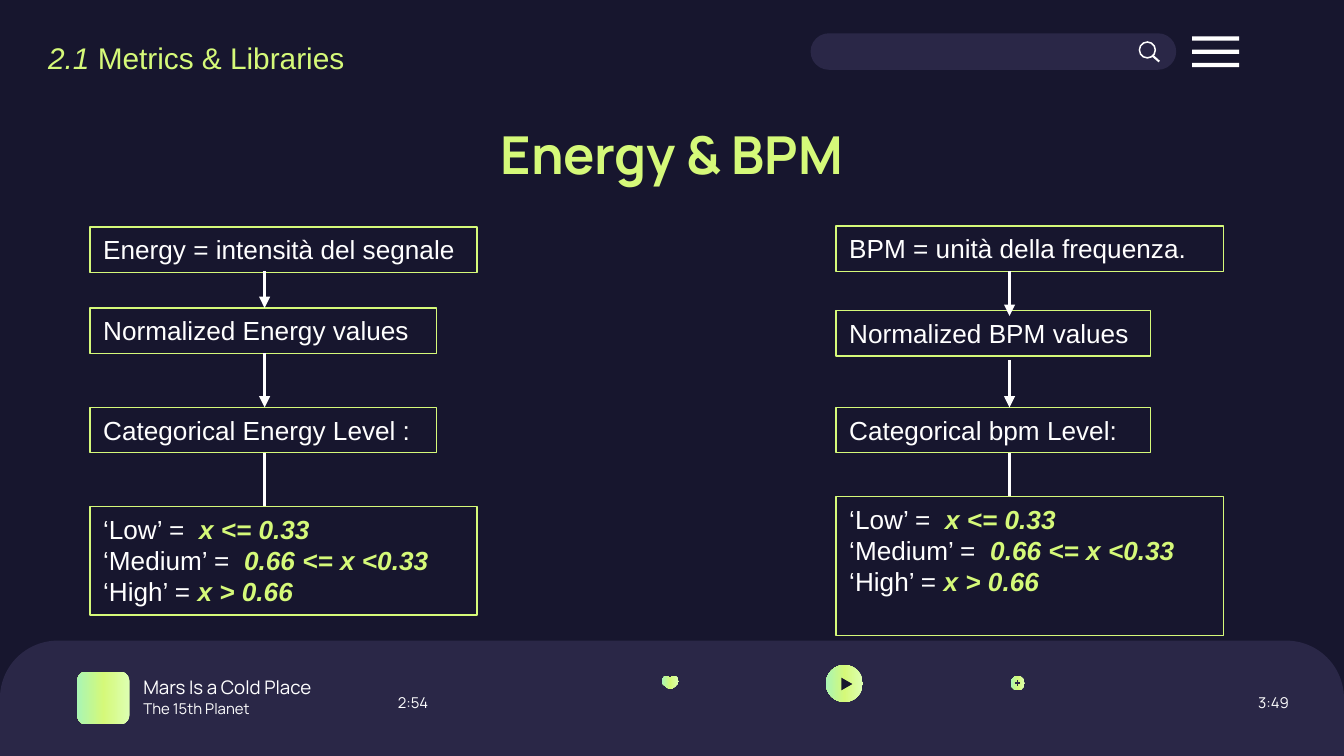
from copy import deepcopy
from dataclasses import dataclass

from lxml import etree
from pptx import Presentation
from pptx.dml.color import RGBColor
from pptx.enum import shapes, text
from pptx.oxml import ns
from pptx.util import Cm, Pt

NIGHT = RGBColor(0x17, 0x16, 0x2E)
PANEL = RGBColor(0x2A, 0x27, 0x47)
LIME = RGBColor(0xD5, 0xF9, 0x79)
PALE_LIME = RGBColor(0xDD, 0xFF, 0xB2)
MINT = RGBColor(0xA9, 0xF5, 0xB4)
WHITE = RGBColor(0xFF, 0xFF, 0xFF)
KIND = shapes.MSO_SHAPE
LEFT, CENTER, RIGHT = text.PP_ALIGN.LEFT, text.PP_ALIGN.CENTER, text.PP_ALIGN.RIGHT


@dataclass(frozen=True)
class Span:
    words: str
    color: RGBColor = WHITE
    bold: bool = False
    italic: bool = False


@dataclass(frozen=True)
class Label:
    """A text box; lengths in cm, size in points."""
    frame: tuple[float, float, float, float]
    spans: list[Span]
    size: float
    font: str = "Manrope"
    inset: float = 0.25
    align: text.PP_ALIGN = LEFT


@dataclass(frozen=True)
class Step:
    top: float
    width: float
    height: float
    lines: list[list[Span]]


@dataclass(frozen=True)
class Flow:
    left: float
    axis: float
    steps: list[Step]
    links: list[tuple[float, float]]


def levels() -> list[list[Span]]:
    rules = [("‘Low’ =  ", "x <= 0.33"), ("‘Medium’ =  ", "0.66 <= x <0.33"), ("‘High’ = ", "x > 0.66")]
    return [[Span(name), Span(rule, LIME, True, True)] for name, rule in rules]


FLOWS = [
    Flow(1.7, 5.0, [
        Step(4.29, 7.32, 0.86, [[Span("Energy = intensità del segnale")]]),
        Step(5.82, 6.55, 0.86, [[Span("Normalized Energy values")]]),
        Step(7.7, 6.55, 0.86, [[Span("Categorical Energy Level :")]]),
        Step(9.57, 7.32, 2.06, levels()),
    ], [(5.13, 5.82), (6.68, 7.7), (8.56, 9.57)]),
    Flow(15.8, 19.08, [
        Step(4.27, 7.32, 0.86, [[Span("BPM = unità della frequenza.")]]),
        Step(5.87, 5.94, 0.86, [[Span("Normalized BPM values")]]),
        Step(7.7, 5.94, 0.86, [[Span("Categorical bpm Level:")]]),
        Step(9.38, 7.32, 2.64, levels()),
    ], [(5.13, 5.97), (6.81, 7.7), (8.56, 9.38)]),
]

LABELS = [
    Label((4.62, 2.11, 16.15, 1.6), [Span("Energy & BPM", LIME, bold=True)], 28, align=CENTER),
    Label((0.66, 0.61, 6.22, 0.94), [Span("2.1 ", LIME, italic=True), Span("Metrics & Libraries", LIME)],
          16, "Arial"),
    Label((2.46, 12.78, 4.85, 0.43), [Span("Mars Is a Cold Place")], 10),
    Label((2.46, 13.18, 2.92, 0.43), [Span("The 15th Planet")], 8),
    Label((7.52, 13.06, 0.69, 0.43), [Span("2:54")], 8, inset=0),
    Label((23.67, 13.06, 0.69, 0.43), [Span("3:49")], 8, inset=0, align=RIGHT),
]

# Heart outline: a start point, then cubic curves (two controls and an end each).
HEART_START = (12.75, 12.78)
HEART_CURVES = [
    ((12.7, 12.78), (12.67, 12.8), (12.67, 12.83)),
    ((12.66, 12.8), (12.62, 12.78), (12.6, 12.78)),
    ((12.55, 12.78), (12.51, 12.83), (12.51, 12.88)),
    ((12.51, 12.9), (12.52, 12.92), (12.54, 12.94)),
    ((12.56, 12.96), (12.61, 13.01), (12.67, 13.03)),
    ((12.73, 13.01), (12.78, 12.96), (12.8, 12.94)),
    ((12.82, 12.92), (12.83, 12.9), (12.83, 12.88)),
    ((12.83, 12.83), (12.79, 12.78), (12.75, 12.78)),
]


def curve_points(start, curves, parts: int = 5) -> list[tuple[float, float]]:
    """Sample a chain of cubic curves into a polygon."""
    points = [start]
    for first, second, end in curves:
        begin = points[-1]
        for step in range(1, parts + 1):
            t = step / parts
            weights = ((1 - t) ** 3, 3 * t * (1 - t) ** 2, 3 * t ** 2 * (1 - t), t ** 3)
            corners = (begin, first, second, end)
            points.append(tuple(sum(w * c[axis] for w, c in zip(weights, corners)) for axis in (0, 1)))
    return points


def paint(shape, fill: RGBColor | None) -> None:
    shape.shadow.inherit = False
    shape.line.fill.background()
    if fill is None:
        shape.fill.background()
    else:
        shape.fill.solid()
        shape.fill.fore_color.rgb = fill


def paint_gradient(shape) -> None:
    paint(shape, None)
    shape.fill.gradient()
    shape.fill.gradient_angle = 180
    stops = shape._element.spPr.find(".//" + ns.qn("a:gsLst"))
    middle = deepcopy(stops[0])
    middle.set("pos", "50000")
    stops.insert(1, middle)
    for stop, color in zip(shape.fill.gradient_stops, (PALE_LIME, LIME, MINT)):
        stop.color.rgb = color


def add_block(page, kind, frame, fill: RGBColor | None = None):
    block = page.shapes.add_shape(kind, *map(Cm, frame))
    paint(block, fill)
    return block


def add_polygon(page, points):
    (x, y), *rest = [(Cm(a), Cm(b)) for a, b in points]
    builder = page.shapes.build_freeform(x, y, 1.0)
    builder.add_line_segments(rest, close=True)
    return builder.convert_to_shape()


def add_line(page, start, end, color: RGBColor, weight: float, arrow: bool = False) -> None:
    line = page.shapes.add_connector(shapes.MSO_CONNECTOR.STRAIGHT, *map(Cm, (*start, *end)))
    line.line.color.rgb = color
    line.line.width = Pt(weight)
    if arrow:
        etree.SubElement(line.line._get_or_add_ln(), ns.qn("a:tailEnd"), type="triangle")
    etree.SubElement(line._element.spPr, ns.qn("a:effectLst"))


def write(frame, lines: list[list[Span]], size: float, font: str,
          inset: float = 0.25, align=LEFT, anchor=text.MSO_ANCHOR.TOP) -> None:
    frame.word_wrap = True
    frame.vertical_anchor = anchor
    frame.margin_left = frame.margin_right = Cm(inset)
    frame.margin_top = frame.margin_bottom = Cm(0.13)
    for index, spans in enumerate(lines):
        para = frame.add_paragraph() if index else frame.paragraphs[0]
        para.alignment = align
        for span in spans:
            run = para.add_run()
            run.text = span.words
            run.font.name, run.font.size = font, Pt(size)
            run.font.bold, run.font.italic = span.bold, span.italic
            run.font.color.rgb = span.color


def add_label(page, label: Label) -> None:
    box = page.shapes.add_textbox(*map(Cm, label.frame))
    write(box.text_frame, [label.spans], label.size, label.font, label.inset,
          label.align, text.MSO_ANCHOR.MIDDLE)


def add_flow(page, flow: Flow) -> None:
    for step in flow.steps:
        box = add_block(page, KIND.RECTANGLE, (flow.left, step.top, step.width, step.height))
        box.line.color.rgb = LIME
        box.line.width = Pt(0.75)
        write(box.text_frame, step.lines, 14, "Arial")
    for start, end in flow.links:
        add_line(page, (flow.axis, start), (flow.axis, end), WHITE, 2, arrow=(start, end) != flow.links[-1])


def add_search_bar(page) -> None:
    add_block(page, KIND.ROUNDED_RECTANGLE, (15.32, 0.63, 6.91, 0.69), PANEL).adjustments[0] = 0.5
    for row in range(3):
        add_block(page, KIND.RECTANGLE, (22.53, 0.69 + 0.25 * row, 0.89, 0.08), WHITE)
    add_block(page, KIND.DONUT, (21.52, 0.78, 0.33, 0.33), WHITE).adjustments[0] = 0.09
    paint(add_polygon(page, [(21.8, 1.04), (21.77, 1.07), (21.9, 1.18), (21.92, 1.15)]), WHITE)


def add_player(page) -> None:
    bar = add_block(page, KIND.ROUND_2_SAME_RECTANGLE, (0, 12.11, 25.4, 2.18), PANEL)
    bar.adjustments[0], bar.adjustments[1] = 0.5, 0
    paint_gradient(add_block(page, KIND.ROUNDED_RECTANGLE, (1.46, 12.7, 0.99, 0.99)))
    paint_gradient(add_polygon(page, curve_points(HEART_START, HEART_CURVES)))
    paint_gradient(add_block(page, KIND.OVAL, (19.1, 12.78, 0.27, 0.27)))
    add_line(page, (19.23, 12.86), (19.23, 12.96), PANEL, 0.75)
    add_line(page, (19.18, 12.91), (19.28, 12.91), PANEL, 0.75)
    paint_gradient(add_block(page, KIND.OVAL, (15.61, 12.57, 0.7, 0.7)))
    paint(add_polygon(page, [(15.9, 12.81), (15.9, 13.05), (16.11, 12.93)]), NIGHT)


def main() -> None:
    deck = Presentation()
    deck.slide_width, deck.slide_height = Cm(25.4), Cm(14.29)
    page = deck.slides.add_slide(deck.slide_layouts[6])
    page.background.fill.solid()
    page.background.fill.fore_color.rgb = NIGHT
    add_search_bar(page)
    add_player(page)
    for label in LABELS:
        add_label(page, label)
    for flow in FLOWS:
        add_flow(page, flow)
    deck.save("out.pptx")


if __name__ == "__main__":
    main()
